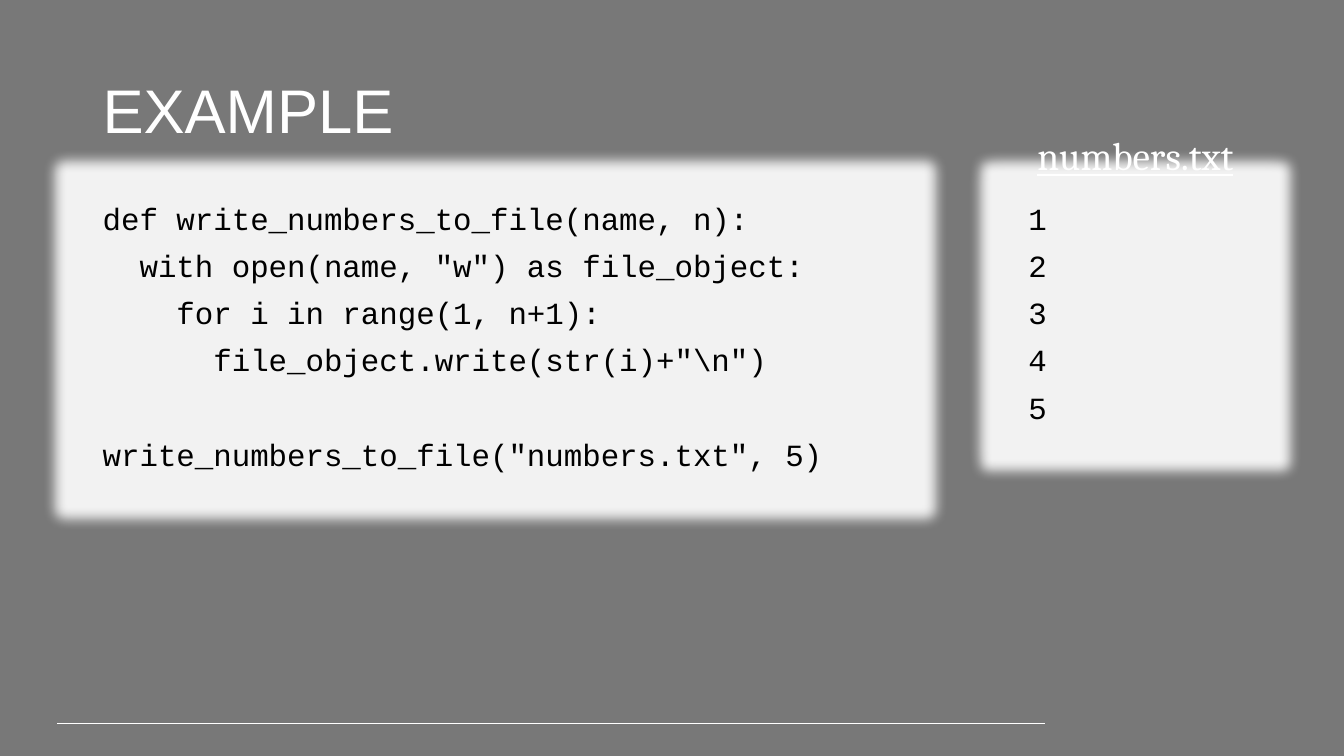
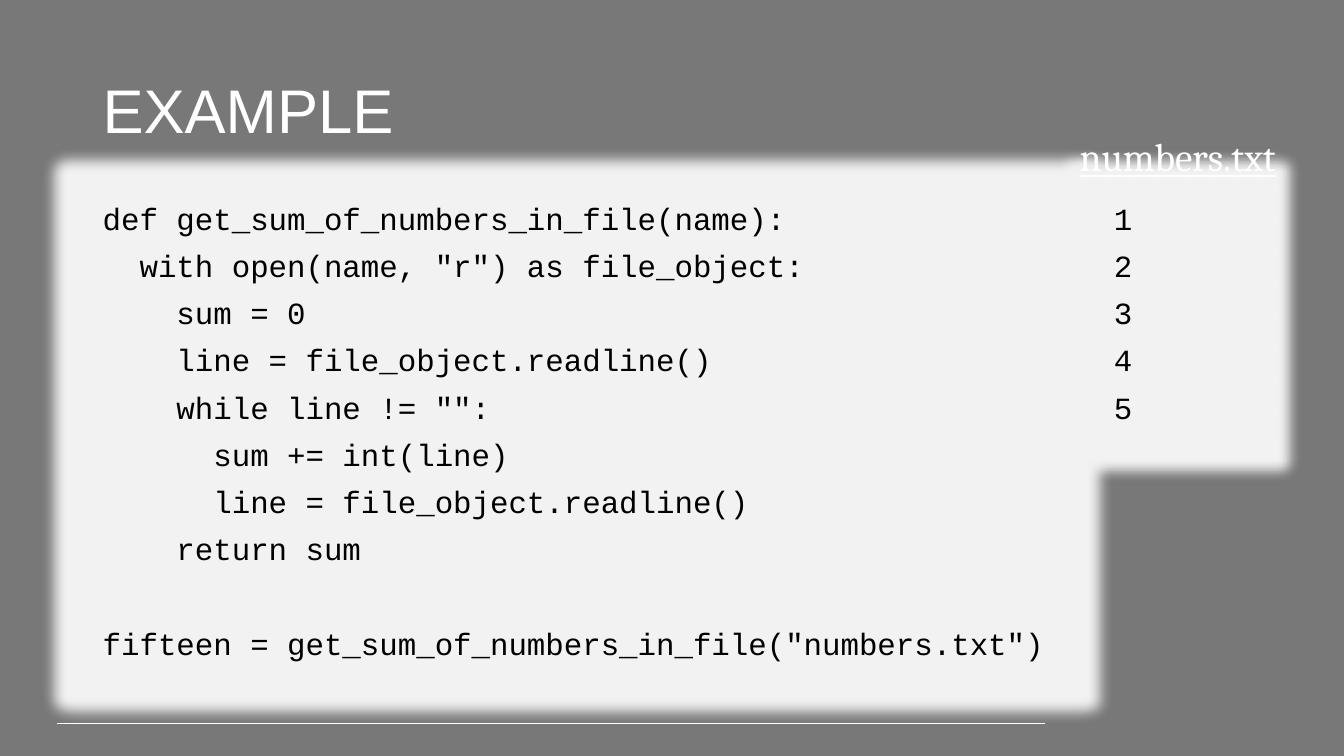
from lxml import etree
from pptx import Presentation
from pptx.dml.color import RGBColor
from pptx.enum.shapes import MSO_CONNECTOR, MSO_SHAPE
from pptx.enum.text import MSO_ANCHOR, PP_ALIGN
from pptx.oxml.ns import qn
from pptx.util import Emu, Pt

STRAIGHT = MSO_CONNECTOR.STRAIGHT
RECTANGLE = MSO_SHAPE.RECTANGLE
TOP, MIDDLE = MSO_ANCHOR.TOP, MSO_ANCHOR.MIDDLE
LEFT, CENTER = PP_ALIGN.LEFT, PP_ALIGN.CENTER

# Shared look: 100 px to the inch
EMU_PER_PX = 9144
BACKGROUND, WHITE, BLACK, PANEL = "787878", "FFFFFF", "000000", "F2F2F2"
TITLE_STYLE = ("Arial", 44, WHITE)
CODE_STYLE = ("Courier New", 22, BLACK)
LABEL_STYLE = ("Cambria", 28, WHITE)
LINE_SPACING = 0.9
PARA_GAP = 10
BLANK_LINE = 34
GLOW_RADIUS = 25
PANEL_TOP = 197

WRITE_CODE = r'''def write_numbers_to_file(name, n):
  with open(name, "w") as file_object:
    for i in range(1, n+1):
      file_object.write(str(i)+"\n")

write_numbers_to_file("numbers.txt", 5)'''

READ_CODE = '''def get_sum_of_numbers_in_file(name):
  with open(name, "r") as file_object:
    sum = 0
    line = file_object.readline()
    while line != "":
      sum += int(line)
      line = file_object.readline()
    return sum

fifteen = get_sum_of_numbers_in_file("numbers.txt")'''

NUMBERS = "\n".join(str(number) for number in range(1, 6))


def px(length):
    return Emu(length * EMU_PER_PX)


def color(value):
    return RGBColor.from_string(value)


def write_lines(frame, text, style, align=LEFT, underline=False):
    """One paragraph per line; an empty line becomes space before the next."""
    font_name, size, font_color = style
    para, gap = frame.paragraphs[0], 0
    for line in text.split("\n"):
        if not line:
            gap += BLANK_LINE
            continue
        if para.runs:
            para = frame.add_paragraph()
        para.alignment = align
        para.line_spacing = LINE_SPACING
        para.space_before = Pt(gap)
        span = para.add_run()
        span.text = line
        span.font.name = font_name
        span.font.size = Pt(size)
        span.font.color.rgb = color(font_color)
        if underline:
            span.font.underline = True
        gap = PARA_GAP


def add_text(page, at, text, style, anchor=TOP, **options):
    box = page.shapes.add_textbox(*map(px, at))
    box.text_frame.word_wrap = True
    box.text_frame.vertical_anchor = anchor
    write_lines(box.text_frame, text, style, **options)


def add_glow(shape):
    effects = shape._element.spPr.find(qn("a:effectLst"))
    glow = etree.SubElement(effects, qn("a:glow"), rad=str(px(GLOW_RADIUS)))
    etree.SubElement(glow, qn("a:srgbClr"), val=PANEL)


def add_panel(page, left, width, height, text):
    panel = page.shapes.add_shape(
        RECTANGLE, *map(px, (left, PANEL_TOP, width, height)))
    panel.shadow.inherit = False
    panel.fill.solid()
    panel.fill.fore_color.rgb = color(PANEL)
    panel.line.fill.background()
    add_glow(panel)
    panel.text_frame.word_wrap = True
    panel.text_frame.vertical_anchor = TOP
    write_lines(panel.text_frame, text, CODE_STYLE)


def add_footer_line(page):
    line = page.shapes.add_connector(
        STRAIGHT, *map(px, (57, 718, 1036, 718)))
    line.line.color.rgb = color(WHITE)
    line.line.width = Pt(0.75)
    etree.SubElement(line._element.spPr, qn("a:effectLst"))


def add_example(deck, code, code_size, file_left, file_width, label_at):
    page = deck.slides.add_slide(deck.slide_layouts[6])
    add_footer_line(page)
    add_text(page, (92, 40, 1150, 145), "EXAMPLE", TITLE_STYLE, MIDDLE)
    # Code beside the contents of the file
    add_panel(page, 92, *code_size, code)
    add_panel(page, file_left, file_width, 233, NUMBERS)
    add_text(page, (*label_at, 232, 53), "numbers.txt", LABEL_STYLE,
             align=CENTER, underline=True)


def main():
    deck = Presentation()
    deck.slide_width, deck.slide_height = px(1333), px(750)
    fill = deck.slide_master.background.fill
    fill.solid()
    fill.fore_color.rgb = color(BACKGROUND)

    add_example(deck, WRITE_CODE, (799, 280), 1010, 232, (1010, 131))
    add_example(deck, READ_CODE, (961, 470), 1095, 147, (1052, 132))
    deck.save("out.pptx")


if __name__ == "__main__":
    main()
